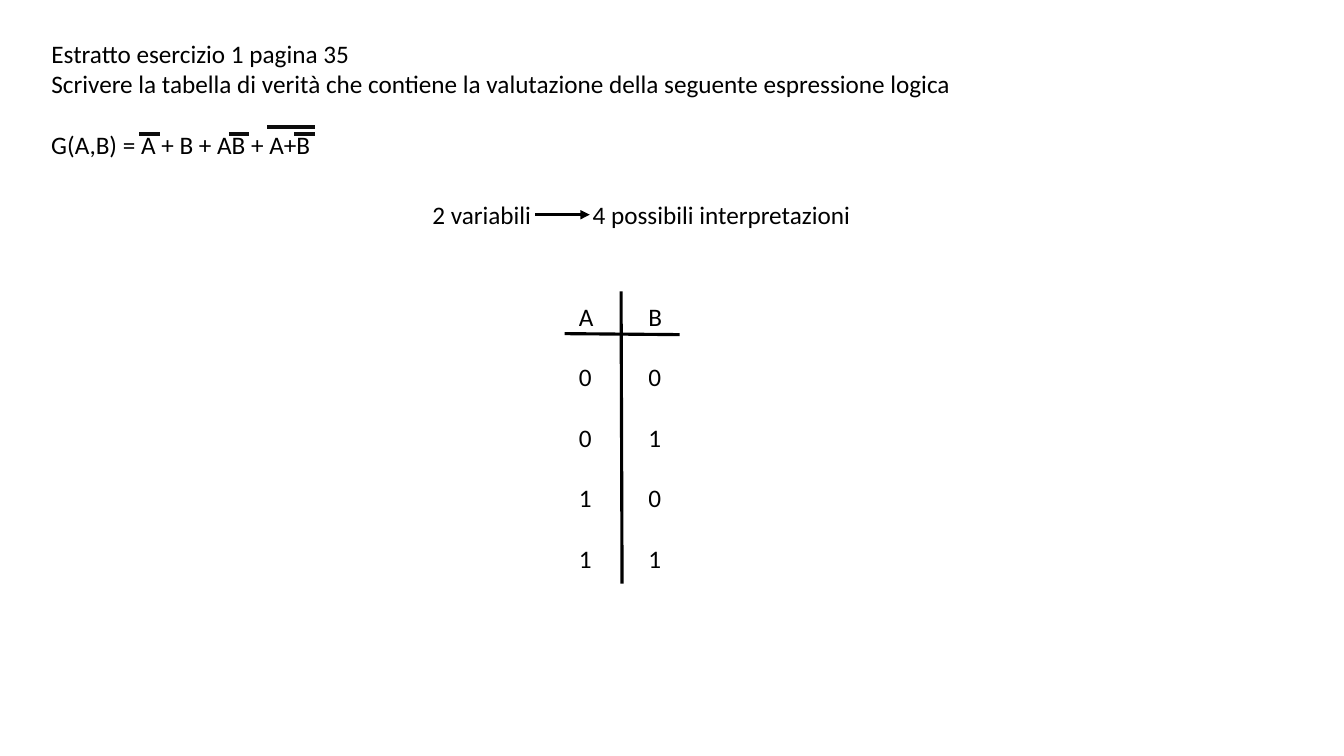
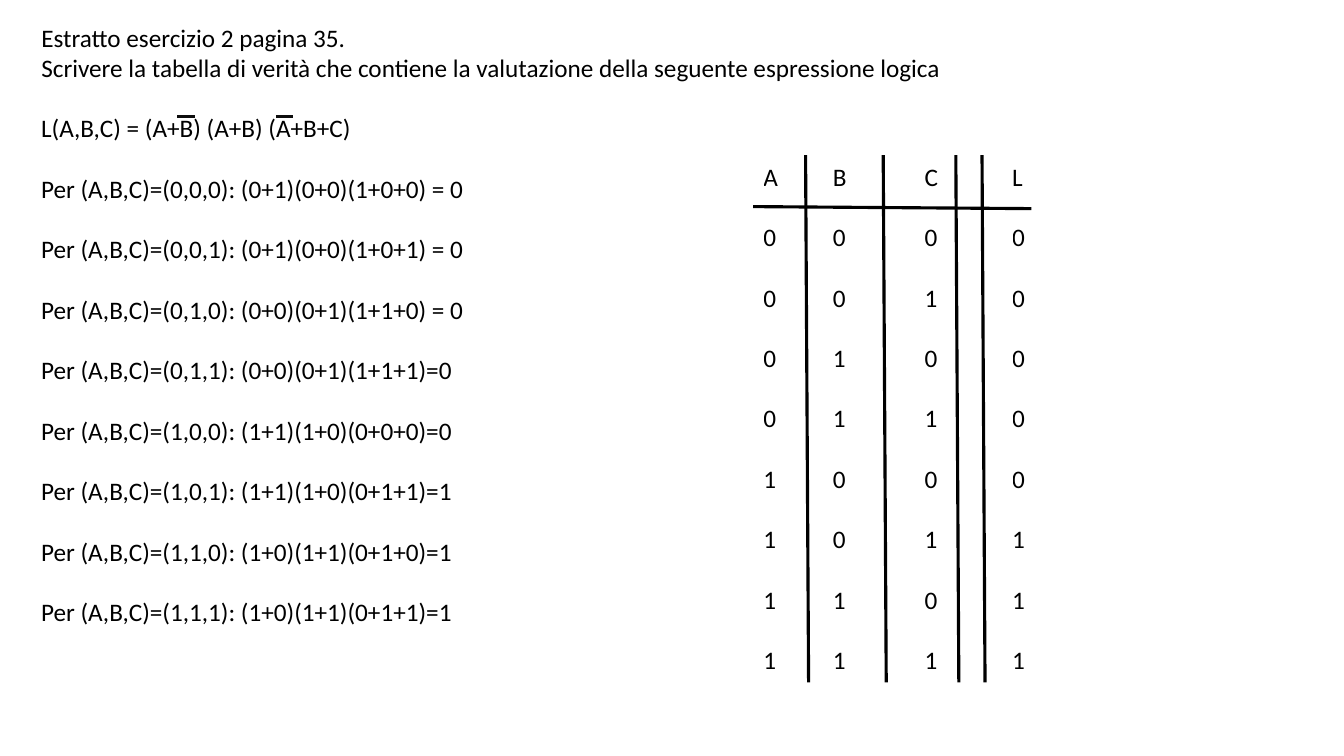
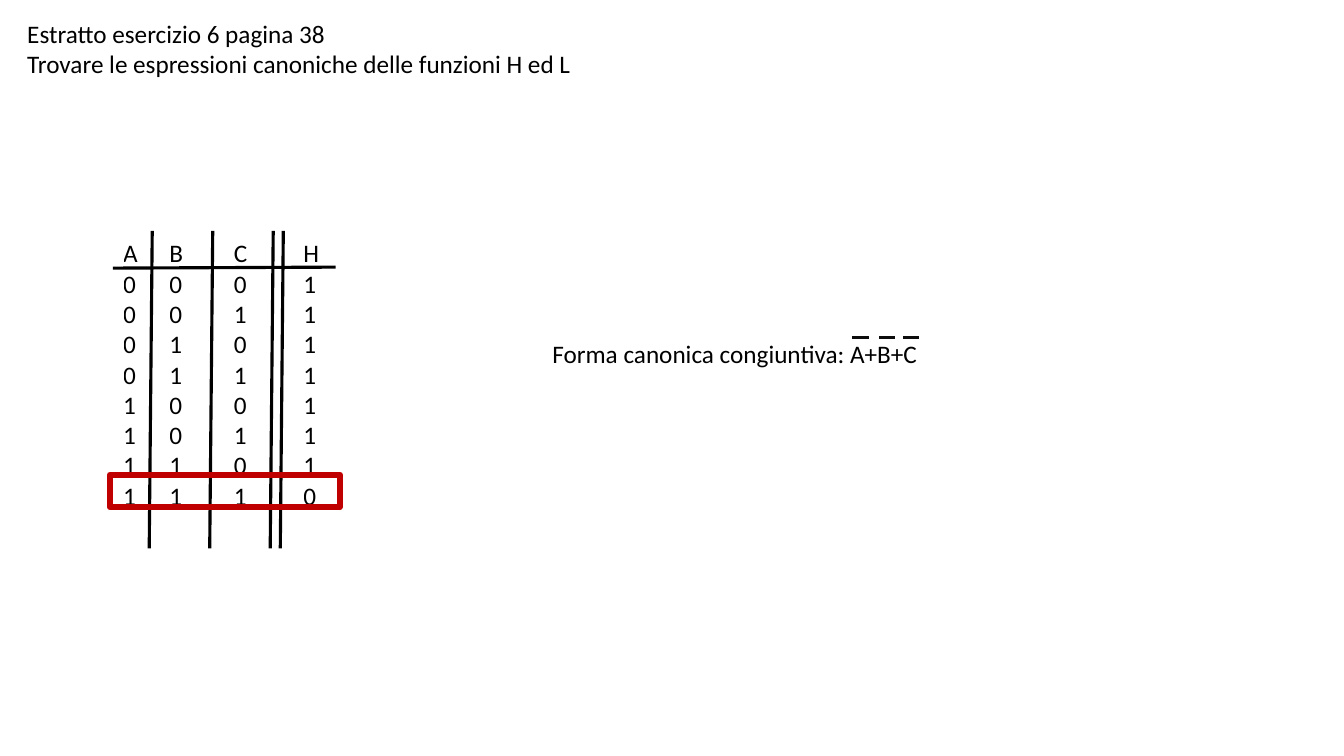
import itertools

import pptx
import pptx.dml.color
import pptx.enum.shapes
import pptx.enum.text
import pptx.oxml.ns
import pptx.util
from lxml import etree

Inches = pptx.util.Inches
Pt = pptx.util.Pt
rgb = pptx.dml.color.RGBColor.from_string
qn = pptx.oxml.ns.qn

# Shared style
FONT, SIZE = "Calibri", 18
BLACK, BAR, RED = "000000", "0D0D0D", "C00000"
LINE_H = 0.3  # height of one text line, in inches


def write(tf, lines, gap=0):
    """Fill a text frame with left-aligned lines, gap inches apart."""
    for i, line in enumerate(lines):
        p = tf.paragraphs[0] if i == 0 else tf.add_paragraph()
        p.alignment = pptx.enum.text.PP_ALIGN.LEFT
        p.space_before = Inches(gap if i else 0)
        r = p.add_run()
        r.text = line
        r.font.name = FONT
        r.font.size = Pt(SIZE)
        r.font.color.rgb = rgb(color := BLACK)


def add_line(s, x1, y1, x2, y2, color=BLACK):
    """Draw a straight line without shadow."""
    sp = s.shapes.add_connector(
        pptx.enum.shapes.MSO_CONNECTOR.STRAIGHT,
        Inches(x1), Inches(y1), Inches(x2), Inches(y2))
    sp.line.color.rgb = rgb(color)
    sp.line.width = Pt(2.25)
    etree.SubElement(sp._element.spPr, qn("a:effectLst"))
    return sp


prs = pptx.Presentation()
prs.slide_width = Inches(13.33)
prs.slide_height = Inches(7.5)

# Slides with their titles: left, top, width, lines
task = ("Scrivere la tabella di verità che contiene la valutazione "
        "della seguente espressione logica")
titles = [
    (0.41, 0.33, 9.79, ["Estratto esercizio 1 pagina 35", task]),
    (0.31, 0.17, 12.41, ["Estratto esercizio 2 pagina 35.", task]),
    (0.17, 0.13, 12.86, ["Estratto esercizio 6 pagina 38",
                         "Trovare le espressioni canoniche delle funzioni H ed L"]),
]
slides = []
for x, y, w, lines in titles:
    s = prs.slides.add_slide(prs.slide_layouts[5])
    sp = s.shapes.title
    sp.left, sp.top, sp.width, sp.height = Inches(x), Inches(y), Inches(w), Inches(0.71)
    tf = sp.text_frame
    tf.auto_size = pptx.enum.text.MSO_AUTO_SIZE.NONE
    tf.vertical_anchor = pptx.enum.text.MSO_ANCHOR.TOP
    write(tf, lines)
    slides.append(s)
s1, s2, s3 = slides

# Text boxes: slide, left, top, width, height, lines
evaluations = [
    "L(A,B,C) = (A+B) (A+B) (A+B+C)",
    "Per (A,B,C)=(0,0,0): (0+1)(0+0)(1+0+0) = 0",
    "Per (A,B,C)=(0,0,1): (0+1)(0+0)(1+0+1) = 0",
    "Per (A,B,C)=(0,1,0): (0+0)(0+1)(1+1+0) = 0",
    "Per (A,B,C)=(0,1,1): (0+0)(0+1)(1+1+1)=0",
    "Per (A,B,C)=(1,0,0): (1+1)(1+0)(0+0+0)=0",
    "Per (A,B,C)=(1,0,1): (1+1)(1+0)(0+1+1)=1",
    "Per (A,B,C)=(1,1,0): (1+0)(1+1)(0+1+0)=1",
    "Per (A,B,C)=(1,1,1): (1+0)(1+1)(0+1+1)=1",
]
boxes = [
    (s1, 0.41, 1.23, 9.79, 0.4, ["G(A,B) = A + B + AB + A+B"]),
    (s1, 4.19, 1.93, 5.73, 0.4, ["2 variabili\t4 possibili interpretazioni"]),
    (s2, 0.31, 1.07, 6.5, 5.26, evaluations),
    (s3, 5.38, 3.31, 4.96, 0.4, ["Forma canonica congiuntiva: A+B+C"]),
]
for s, x, y, w, h, lines in boxes:
    tf = s.shapes.add_textbox(Inches(x), Inches(y), Inches(w), Inches(h)).text_frame
    tf.word_wrap = True
    write(tf, lines, LINE_H)
    if "\t" in lines[0]:  # the tab leaves room for the arrow
        tabs = etree.SubElement(tf.paragraphs[0]._p.get_or_add_pPr(), qn("a:tabLst"))
        etree.SubElement(tabs, qn("a:tab"), pos=str(Inches(1.59)), algn="l")

# Truth tables: slide, variables, function, its values, top, row height, column edges
tables = [
    (s1, "AB", "", "", 2.85, 0.6, [5.74, 6.43, 6.83]),
    (s2, "ABC", "L", "00000111", 1.46, 0.6, [7.57, 8.26, 9.17, 10.04, 10.44]),
    (s3, "ABC", "H", "11111110", 2.37, 0.3, [1.22, 1.68, 2.32, 3.01, 3.41]),
]
for s, variables, function, values, top, row_h, edges in tables:
    rows = [list(variables + function)]
    for i, bits in enumerate(itertools.product("01", repeat=len(variables))):
        rows.append(list(bits) + list(values[i:i + 1]))
    table = s.shapes.add_table(
        len(rows), len(rows[0]), Inches(edges[0]), Inches(top),
        Inches(edges[-1] - edges[0]), Inches(row_h * len(rows))).table
    table.first_row = table.horz_banding = False
    for col, (left, right) in zip(table.columns, itertools.pairwise(edges)):
        col.width = Inches(right - left)
    for row, texts in zip(table.rows, rows):
        row.height = Inches(row_h)
        for cell, text in zip(row.cells, texts):
            cell.fill.background()
            cell.margin_left = cell.margin_right = 0
            cell.margin_top = cell.margin_bottom = 0
            cell.vertical_anchor = pptx.enum.text.MSO_ANCHOR.MIDDLE
            write(cell.text_frame, [text])

# Column rules: slide, x positions, slant, top, bottom
for s, xs, slant, top, bottom in [
    (s1, [6.16], 0.01, 2.89, 5.79),
    (s2, [7.99, 8.76, 9.48, 9.74], 0.03, 1.54, 6.77),
    (s3, [1.51, 2.11, 2.71, 2.81], -0.03, 2.29, 5.44),
]:
    for x in xs:
        add_line(s, x, top, x + slant, bottom)

# Rules under the table headings
add_line(s1, 6.74, 3.32, 5.6, 3.31)
add_line(s2, 10.23, 2.07, 7.47, 2.05)
add_line(s3, 1.12, 2.66, 3.33, 2.65)

# Negation bars: slide, y, (from, to) pairs
for s, y, spans in [
    (s1, 1.33, [(1.38, 1.59), (2.27, 2.47), (2.92, 3.12)]),
    (s1, 1.26, [(2.65, 3.12)]),
    (s2, 1.16, [(1.76, 1.93), (2.74, 2.91)]),
    (s3, 3.35, [(8.45, 8.62), (8.72, 8.88), (8.96, 9.12)]),
]:
    for x1, x2 in spans:
        add_line(s, x1, y, x2, y, BAR)

# Arrow from variables to interpretations
arrow = add_line(s1, 5.31, 2.13, 5.85, 2.13)
etree.SubElement(arrow._element.spPr.find(qn("a:ln")), qn("a:tailEnd"), type="triangle")

# Frame around the row where H is 0
sp = s3.shapes.add_shape(pptx.enum.shapes.MSO_SHAPE.RECTANGLE,
                         Inches(1.09), Inches(4.71), Inches(2.28), Inches(0.32))
sp.shadow.inherit = False
sp.fill.background()
sp.line.color.rgb = rgb(RED)
sp.line.width = Pt(4.5)

prs.save("out.pptx")
